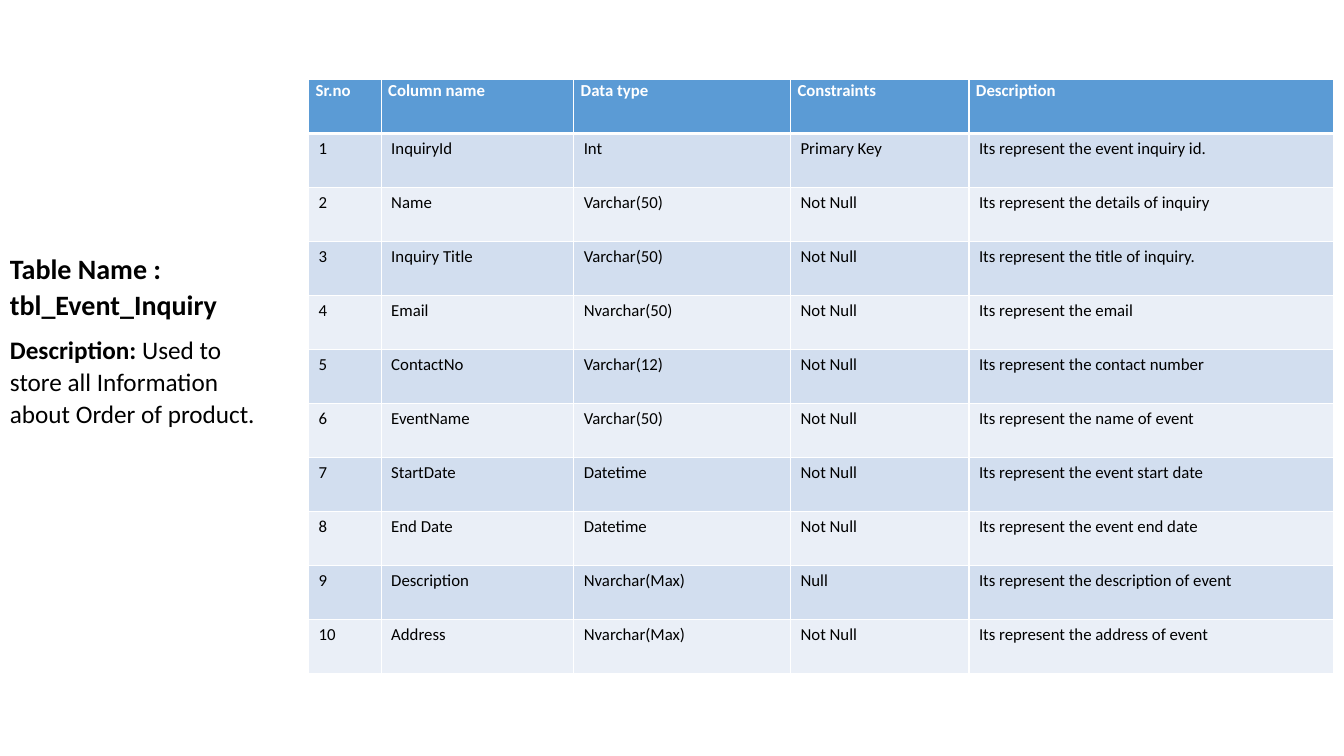
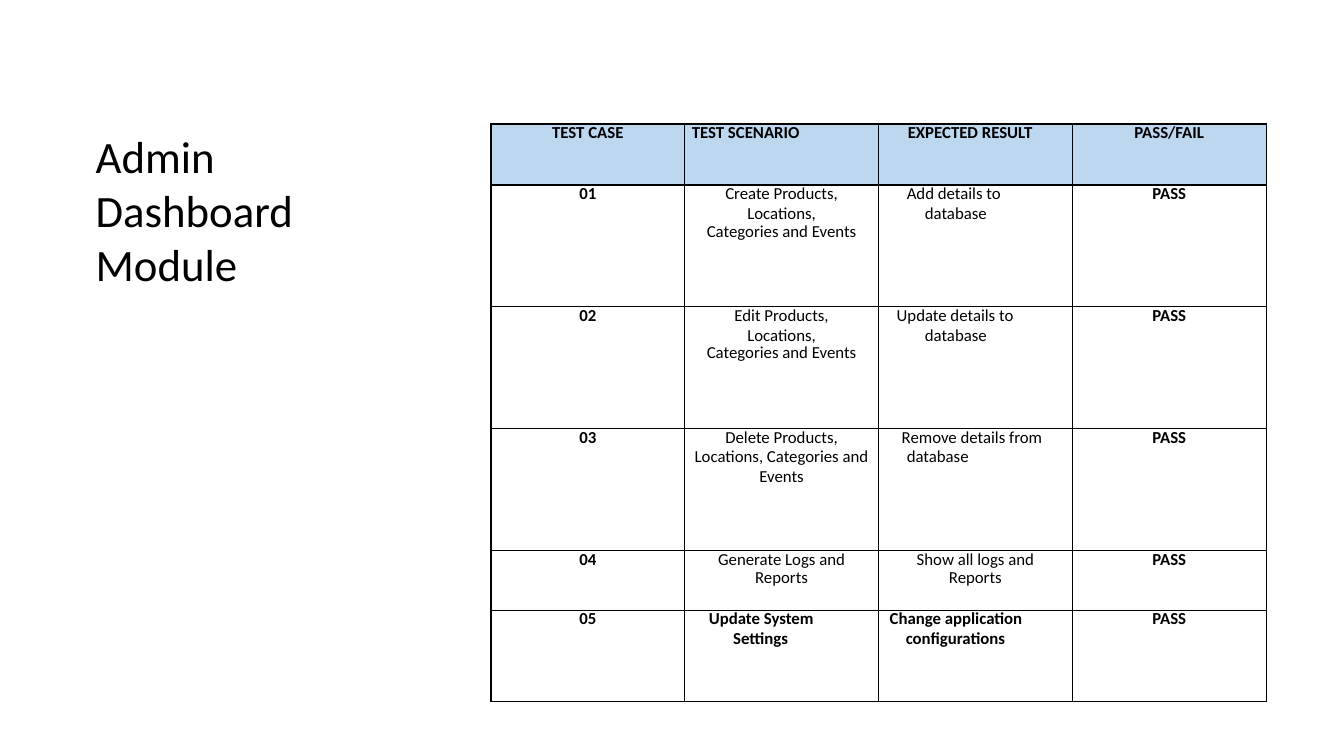
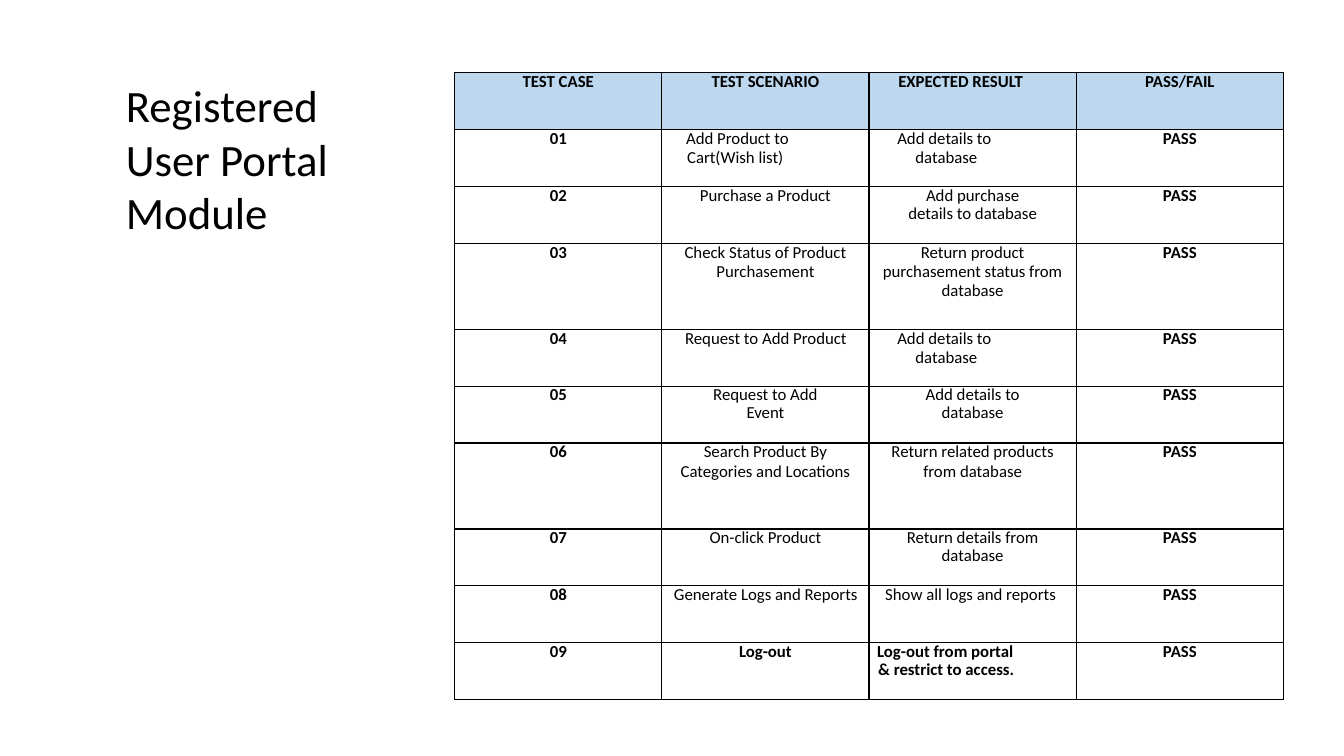
from lxml.etree import SubElement
from pptx import Presentation
from pptx.dml.color import RGBColor
from pptx.enum.text import MSO_AUTO_SIZE, PP_ALIGN
from pptx.oxml.ns import qn
from pptx.util import Inches, Pt

WHITE, BLACK = "FFFFFF", "000000"
BLUE, LIGHT_BLUE = "5B9BD5", "BDD7EE"
BANDS = ["EAEFF7", "D2DEEF"]
TITLE = {"name": "Calibri", "size": Pt(32), "bold": False, "color": BLACK}
CELL = TITLE | {"size": Pt(12)}
CENTRE = (PP_ALIGN.CENTER, 0.06, 0, 0.06)
WIDE = (PP_ALIGN.CENTER, 0.25, 0, 0.25)
VERDICT = (PP_ALIGN.CENTER, 0.31, 0, 0.31)
FLUSH = (PP_ALIGN.LEFT, 0, 0, 0)
HEADING = (PP_ALIGN.LEFT, 0.41, -0.12, 0.3)
DETAILS = (PP_ALIGN.LEFT, 0.46, -0.18, 0.3)


def style(target, formats):
    for name, value in formats.items():
        if name == "color":
            target.color.rgb = RGBColor.from_string(value)
        else:
            setattr(target, name, value)


def add_paragraph(frame, index, spans, formats):
    para = frame.paragraphs[0] if index == 0 else frame.add_paragraph()
    style(para, formats)
    for text, font in spans:
        span = para.add_run()
        span.text = text
        style(span.font, font)
    return para


deck = Presentation()
deck.slide_width, deck.slide_height = Inches(13.33), Inches(7.5)
column, row = deck.slide_width / 100, deck.slide_height / 100

inquiry_columns = [
    ("InquiryId", "Int", "Primary Key", "Its represent the event inquiry id."),
    ("Name", "Varchar(50)", "Not Null", "Its represent the details of inquiry"),
    ("Inquiry Title", "Varchar(50)", "Not Null", "Its represent the title of inquiry."),
    ("Email", "Nvarchar(50)", "Not Null", "Its represent the email"),
    ("ContactNo", "Varchar(12)", "Not Null", "Its represent the contact number"),
    ("EventName", "Varchar(50)", "Not Null", "Its represent the name of event"),
    ("StartDate", "Datetime", "Not Null", "Its represent the event start date"),
    ("End Date", "Datetime", "Not Null", "Its represent the event end date"),
    ("Description", "Nvarchar(Max)", "Null", "Its represent the description of event"),
    ("Address", "Nvarchar(Max)", "Not Null", "Its represent the address of event"),
]
admin_tests = [
    (("Create Products, Locations,\nCategories and Events", CENTRE),
     ("Add details to database", DETAILS)),
    (("Edit Products, Locations,\nCategories and Events", WIDE, CENTRE),
     ("Update details to database", (PP_ALIGN.LEFT, 0.46, -0.28, 0.3))),
    (("Delete Products, Locations, Categories and Events", CENTRE),
     ("Remove details from database", (PP_ALIGN.LEFT, 0.28, -0.05, 0.2))),
    (("Generate Logs and\nReports", CENTRE),
     ("Show all logs and\nReports", CENTRE)),
    (("Update System Settings", (PP_ALIGN.LEFT, 0.48, -0.24, 0.3)),
     ("Change application configurations", (PP_ALIGN.LEFT, 0.27, -0.16, 0.3))),
]
portal_tests = [
    (("Add Product to Cart(Wish list)", (PP_ALIGN.LEFT, 0.25, -0.01, 0.3)),
     ("Add details to database", DETAILS)),
    (("Purchase a Product", CENTRE),
     ("Add purchase\ndetails to database", CENTRE)),
    (("Check Status of Product Purchasement", CENTRE),
     ("Return product purchasement status from database", CENTRE)),
    (("Request to Add Product", (PP_ALIGN.LEFT, 0.49, -0.26, 0)),
     ("Add details to database", DETAILS)),
    (("Request to Add\nEvent", CENTRE),
     ("Add details to\ndatabase", CENTRE)),
    (("Search Product By Categories and Locations", CENTRE),
     ("Return related products from database", CENTRE)),
    (("On-click Product", CENTRE),
     ("Return details from\ndatabase", CENTRE)),
    (("Generate Logs and Reports", (PP_ALIGN.LEFT, 0.49, -0.37, 0)),
     ("Show all logs and reports", (PP_ALIGN.LEFT, 0.52, -0.36, 0))),
    (("Log-out", CENTRE),
     ("Log-out from portal\n& restrict to access.",
      (PP_ALIGN.LEFT, 0.08, 0, 0), (PP_ALIGN.LEFT, 0.09, 0, 0))),
]

inquiry_grid = [[(text, FLUSH) for text in
                 ("Sr.no", "Column name", "Data type", "Constraints", "Description")]]
for number, texts in enumerate(inquiry_columns, 1):
    inquiry_grid.append([(text, FLUSH) for text in (str(number), *texts)])

test_grids = []
for tests, scenario_layout in ((admin_tests, (PP_ALIGN.LEFT, 0.07, 0, 0)),
                               (portal_tests, CENTRE)):
    grid = [[("TEST CASE", CENTRE), ("TEST SCENARIO", scenario_layout),
             ("EXPECTED RESULT", HEADING), ("PASS/FAIL", VERDICT)]]
    for number, (scenario, expected) in enumerate(tests, 1):
        grid.append([(f"{number:02}", CENTRE), scenario, expected, ("PASS", VERDICT)])
    test_grids.append(grid)

label = TITLE | {"size": Pt(20), "bold": True}
note = TITLE | {"size": Pt(18)}
short, tall = 7.53, 11.37
pages = [
    {"title": [[("Table Name : tbl_Event_Inquiry", label)],
               [("Description:", note | {"bold": True}),
                (" Used to store all Information about Order of product.", note)]],
     "title_format": {"line_spacing": 1.07, "space_after": Pt(8)},
     "title_at": (0, 32.27, 20.18, 30.8),
     "grid": inquiry_grid, "table_at": (22.96, 10.53),
     "widths": [5.4, 14.33, 16.13, 13.28, 27.15], "heights": [7.14] * 11},
    {"title": [[("Admin Dashboard Module", TITLE)]], "title_format": {},
     "title_at": (6.38, 16.4, 24.23, 26.93),
     "grid": test_grids[0], "table_at": (36.53, 16.4),
     "widths": [14.42] * 4, "heights": [8.07, 16.13, 16.13, 16.13, 7.87, 12.13]},
    {"title": [[("Registered", TITLE)], [("User Portal Module", TITLE)]],
     "title_format": {}, "title_at": (8.63, 9.6, 24.23, 34.13),
     "grid": test_grids[1], "table_at": (33.83, 9.6), "widths": [15.42] * 4,
     "heights": [short] * 3 + [tall] + [short] * 2 + [tall] + [short] * 3},
]

for content in pages:
    page = deck.slides.add_slide(deck.slide_layouts[6])
    grid, widths, heights = content["grid"], content["widths"], content["heights"]
    is_inquiry = grid is inquiry_grid
    left, top = content["table_at"]
    table = page.shapes.add_table(
        len(heights), len(widths), int(left * column), int(top * row),
        int(sum(widths) * column), int(sum(heights) * row)).table
    for table_column, width in zip(table.columns, widths):
        table_column.width = int(width * column)
    for table_row, height in zip(table.rows, heights):
        table_row.height = int(height * row)

    last_row, last_column = len(heights) - 1, len(widths) - 1
    for r, cells in enumerate(grid):
        for c, (text, *layouts) in enumerate(cells):
            cell = table.cell(r, c)
            is_header = r == 0
            if is_inquiry:
                fill = BLUE if is_header else BANDS[r % 2]
                font = CELL | {"bold": is_header, "color": WHITE if is_header else BLACK}
                side, edge = (0.07, 0) if is_header else (0.1, 0.05)
                line_color = WHITE
            else:
                fill = LIGHT_BLUE if is_header else WHITE
                font = CELL | {"bold": r in (0, last_row) or c in (0, last_column)}
                side, edge = 0, 0
                line_color = BLACK
            style(cell, {"margin_left": Inches(side), "margin_right": Inches(side),
                         "margin_top": Inches(edge), "margin_bottom": Inches(edge)})

            for index, line in enumerate(text.split("\n")):
                align, indent, first, right = layouts[min(index, len(layouts) - 1)]
                if is_inquiry:
                    spacing = 1.07 if is_header else 1.0
                else:
                    spacing = Pt(12.8 if index else 13.8)
                para = add_paragraph(cell.text_frame, index, [(line, font)],
                                     {"alignment": align, "line_spacing": spacing})
                properties = para._p.get_or_add_pPr()
                for name, value in (("marL", indent), ("marR", right), ("indent", first)):
                    properties.set(name, str(int(Inches(value))))

            borders = cell._tc.get_or_add_tcPr()
            for tag in ("a:lnL", "a:lnR", "a:lnT", "a:lnB"):
                thick = is_inquiry and (r, tag) in ((0, "a:lnB"), (1, "a:lnT"))
                border = SubElement(borders, qn(tag), w=str(int(Pt(3 if thick else 1))))
                paint = SubElement(border, qn("a:solidFill"))
                SubElement(paint, qn("a:srgbClr"), val=line_color)
            cell.fill.solid()
            cell.fill.fore_color.rgb = RGBColor.from_string(fill)

    left, top, width, height = content["title_at"]
    box = page.shapes.add_textbox(int(left * column), int(top * row),
                                  int(width * column), int(height * row))
    style(box.text_frame, {"word_wrap": True, "auto_size": MSO_AUTO_SIZE.SHAPE_TO_FIT_TEXT})
    for index, spans in enumerate(content["title"]):
        add_paragraph(box.text_frame, index, spans, content["title_format"])

deck.save("out.pptx")
